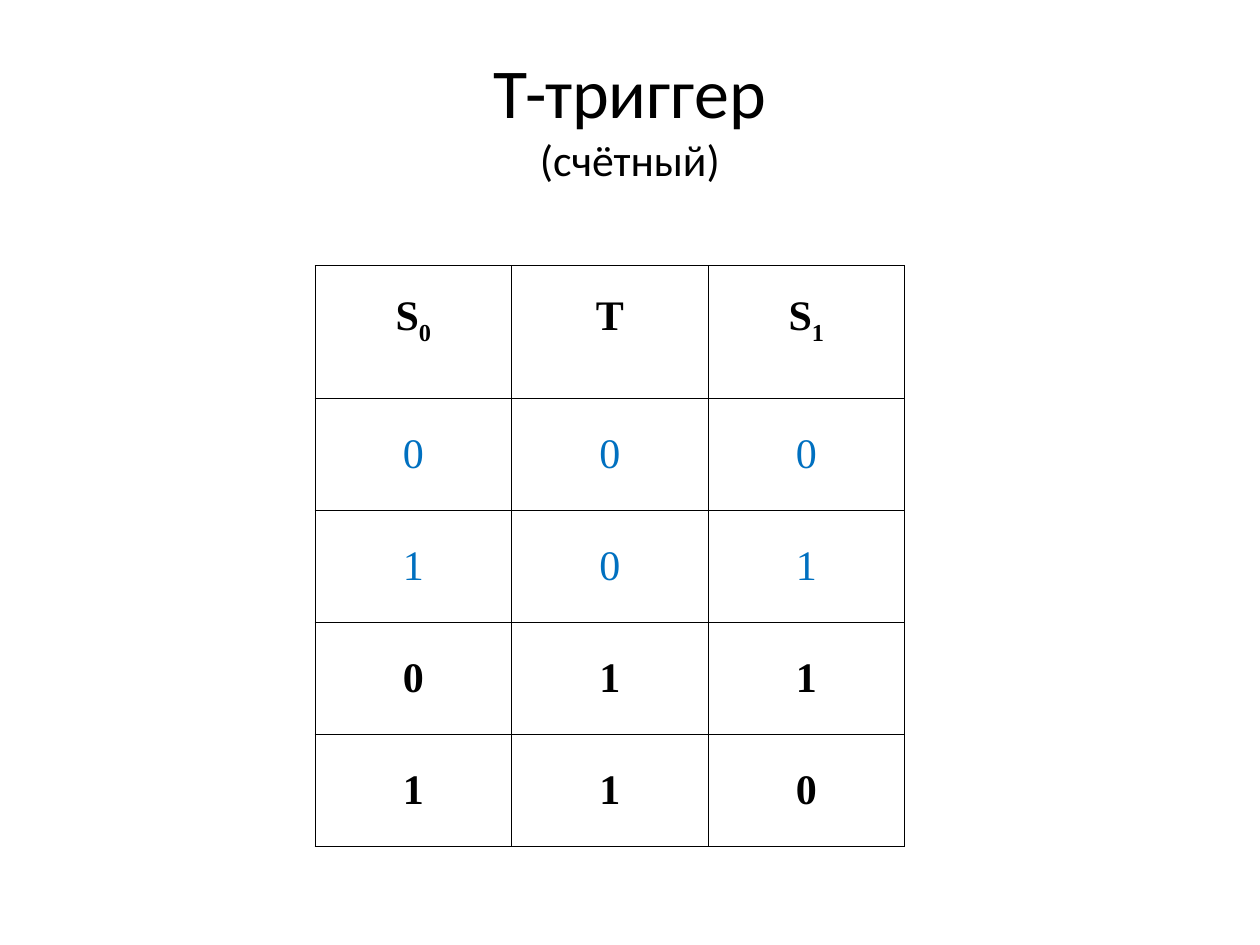
from lxml import etree
from pptx import Presentation
from pptx.dml.color import RGBColor
from pptx.enum.text import MSO_ANCHOR, PP_ALIGN
from pptx.oxml.ns import qn
from pptx.util import Inches, Pt

CENTER = PP_ALIGN.CENTER
TOP, MIDDLE = MSO_ANCHOR.TOP, MSO_ANCHOR.MIDDLE
BLACK = RGBColor(0x00, 0x00, 0x00)
BLUE = RGBColor(0x00, 0x70, 0xC0)


def add_text(p, text, size=24, font="Times New Roman", color=BLACK, bold=False, baseline=0):
    p.alignment = CENTER
    r = p.add_run()
    r.text = text
    r.font.size = Pt(size)
    r.font.name = font
    r.font.color.rgb = color
    r.font.bold = bold
    if baseline:
        r.font._element.set("baseline", str(baseline * 1000))


def add_borders(cell, width=0.45):
    tc_pr = cell._tc.get_or_add_tcPr()
    for i, side in enumerate(("lnL", "lnR", "lnT", "lnB")):
        ln = etree.Element(qn(f"a:{side}"), w=str(Pt(width)))
        fill = etree.SubElement(ln, qn("a:solidFill"))
        etree.SubElement(fill, qn("a:srgbClr"), val=str(BLACK))
        tc_pr.insert(i, ln)


prs = Presentation()
prs.slide_width, prs.slide_height = Inches(10), Inches(7.5)
W, H = prs.slide_width, prs.slide_height
s = prs.slides.add_slide(prs.slide_layouts[6])

# Title with a smaller second line
tf = s.shapes.add_textbox(int(W * 0.05), int(H * 0.04), int(W * 0.9), Inches(1.25)).text_frame
tf.word_wrap = True
tf.vertical_anchor = MIDDLE
p = tf.paragraphs[0]
add_text(p, "Т-триггер", size=40, font="Calibri")
p.add_line_break()
add_text(p, "(счётный)", size=25, font="Calibri")

# Truth table: header of (letter, subscript), then rows of (values, format)
header = [("S", "0"), ("T", ""), ("S", "1")]
held, toggled = {"color": BLUE}, {"bold": True}
states = [("000", held), ("101", held), ("011", toggled), ("110", toggled)]
COL, HEAD, ROW = Inches(1.56), Inches(1.05), Inches(0.89)

table = s.shapes.add_table(len(states) + 1, len(header), int(W * 0.25), Inches(2.11),
                           COL * len(header), HEAD + ROW * len(states)).table
table.first_row = table.horz_banding = False
for col in table.columns:
    col.width = COL
for i, row in enumerate(table.rows):
    row.height = ROW if i else HEAD
    for cell in row.cells:
        cell.fill.background()
        cell.margin_left = cell.margin_right = Inches(0.08)
        cell.margin_top = Inches(0.05 if i else 0.22)
        cell.margin_bottom = Inches(0.05)
        cell.vertical_anchor = MIDDLE if i else TOP
        add_borders(cell)

for cell, (letter, index) in zip(table.rows[0].cells, header):
    p = cell.text_frame.paragraphs[0]
    add_text(p, letter, bold=True)
    if index:
        add_text(p, index, bold=True, baseline=-25)

for i, (values, style) in enumerate(states, 1):
    for cell, value in zip(table.rows[i].cells, values):
        add_text(cell.text_frame.paragraphs[0], value, **style)

prs.save("out.pptx")
